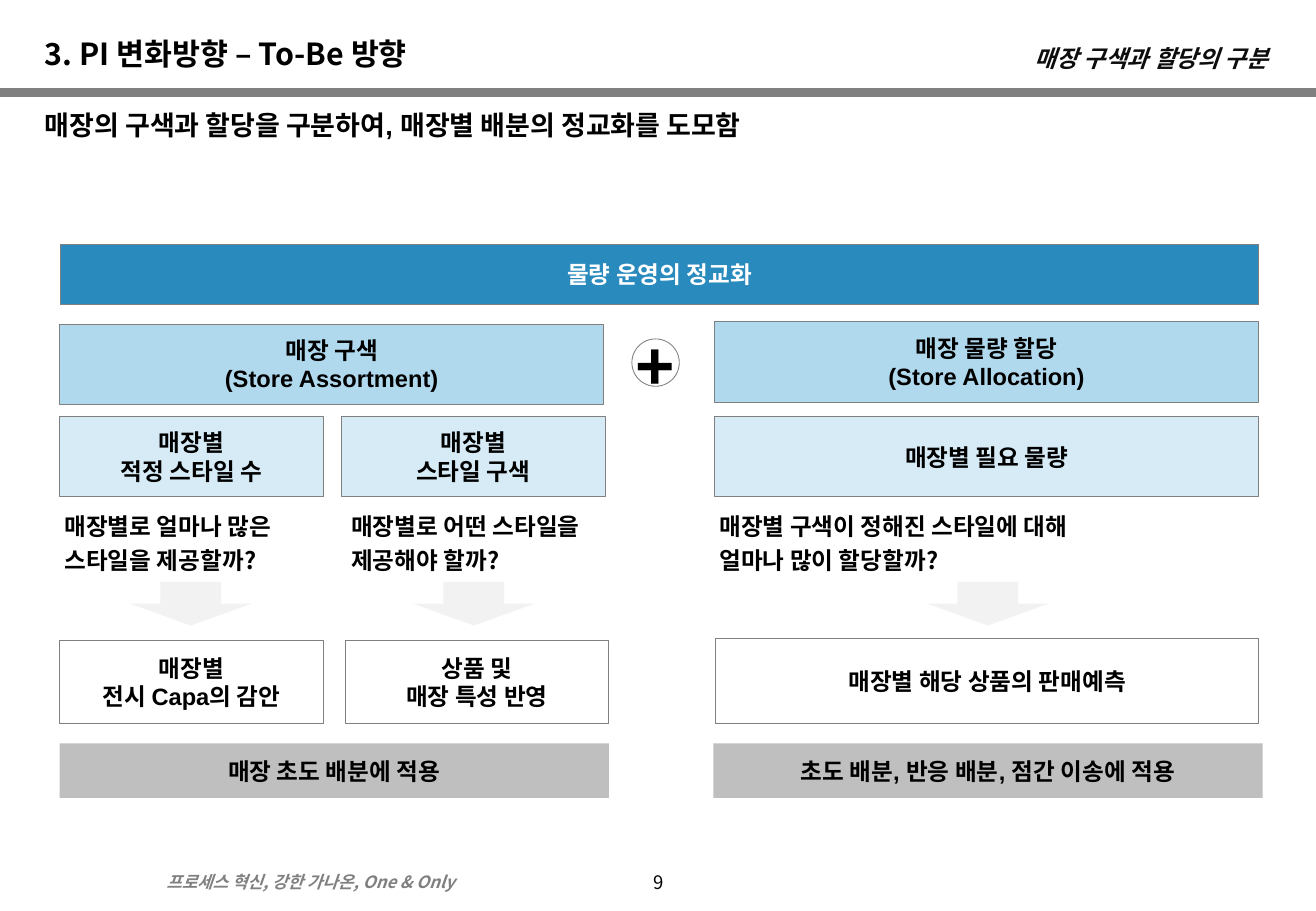
from copy import deepcopy
from dataclasses import dataclass, field
from typing import Any

from lxml import etree
from pptx import Presentation
from pptx.dml.color import RGBColor
from pptx.enum.shapes import MSO_CONNECTOR, MSO_SHAPE
from pptx.enum.text import MSO_ANCHOR, MSO_AUTO_SIZE, PP_ALIGN
from pptx.oxml.ns import qn
from pptx.util import Inches, Pt

RECT, OVAL, DOWN_ARROW = MSO_SHAPE.RECTANGLE, MSO_SHAPE.OVAL, MSO_SHAPE.DOWN_ARROW
LEFT, CENTER, RIGHT = PP_ALIGN.LEFT, PP_ALIGN.CENTER, PP_ALIGN.RIGHT
TOP, MIDDLE = MSO_ANCHOR.TOP, MSO_ANCHOR.MIDDLE
STRAIGHT = MSO_CONNECTOR.STRAIGHT
KOREAN, LATIN = "Noto Sans CJK KR", "Arial"
COLORS = {
    "black": "000000", "near_black": "0D0D0D", "white": "FFFFFF", "gray": "808080",
    "theme": "298ABD", "pillar": "B0D9EE", "topic": "D6EBF6",
    "result": "BFBFBF", "arrow": "F2F2F2",
}


@dataclass(frozen=True)
class Style:
    size: float = 14
    font: str = LATIN
    color: str = "black"
    bold: bool = True
    italic: bool = False
    align: Any = CENTER
    anchor: Any = MIDDLE
    inset: tuple[float, float] = (0.1, 0)
    wrap: bool = True
    line_spacing: float | None = None
    space_before: float = 0


@dataclass(frozen=True)
class Block:
    """Text with its place; "\\n" starts a paragraph and "\\v" a line."""
    text: str
    at: tuple[float, float, float, float]
    fill: str | None = None
    outline: bool = True
    shape: Any = RECT
    style: Style = field(default_factory=Style)


QUESTION = Style(font=KOREAN, align=LEFT, anchor=TOP, inset=(0.04, 0), wrap=False,
                 line_spacing=1.2, space_before=2.8)
HEADING = Style(18, KOREAN, align=LEFT, anchor=TOP, inset=(0.1, 0.05))
MESSAGE = Style(16, align=LEFT, anchor=TOP, inset=(0.1, 0.05), space_before=3.2)
SECTION = Style(font=KOREAN, color="near_black", italic=True, align=RIGHT,
                inset=(0.06, 0), wrap=False)
SLOGAN = Style(10, KOREAN, "gray", italic=True, align=LEFT, anchor=TOP, inset=(0.1, 0.05))
PAGE = Style(11, KOREAN, bold=False, inset=(0.1, 0.05), line_spacing=0.8)

ASSORT_X, STYLE_X, ALLOC_X = 0.49, 2.81, 5.88
PILLAR_W, TOPIC_W, BOX_H = 4.48, 2.17, 0.66
TOPIC_Y, QUESTION_Y, ARROW_Y, BASIS_Y, RESULT_Y = 3.43, 4.17, 4.79, 5.27, 6.12

TITLE = Block("3. PI 변화방향 – To-Be 방향", (0.27, 0.24, 10.24, 0.46), style=HEADING)
BODY = Block("매장의 구색과 할당을 구분하여, 매장별 배분의 정교화를 도모함",
             (0.27, 0.84, 10.26, 0.83), style=MESSAGE)
LABELS = [
    Block("9", (4.92, 7.13, 1, 0.3), style=PAGE),
    Block("프로세스 혁신, 강한 가나온, One & Only", (1.27, 7.13, 3.32, 0.27), style=SLOGAN),
    Block("매장 구색과 할당의 구분", (8.55, 0.32, 1.95, 0.31), style=SECTION),
    Block("매장별로 얼마나 많은\v스타일을 제공할까?", (ASSORT_X, QUESTION_Y, 2.07, 0.41),
          style=QUESTION),
    Block("매장별로 어떤 스타일을\v제공해야 할까?", (2.85, QUESTION_Y, 2.09, 0.41),
          style=QUESTION),
    Block("매장별 구색이 정해진 스타일에 대해\v얼마나 많이 할당할까?",
          (ALLOC_X, QUESTION_Y, PILLAR_W, 0.41), style=QUESTION),
]
BOXES = [
    Block("물량 운영의 정교화", (0.5, 2.01, 9.86, 0.5), "theme", style=Style(color="white")),
    Block("매장 구색\n(Store Assortment)", (ASSORT_X, 2.67, PILLAR_W, BOX_H), "pillar"),
    Block("매장 물량 할당\n(Store Allocation)", (ALLOC_X, 2.65, PILLAR_W, BOX_H), "pillar"),
    Block("+", (5.2, 2.79, 0.39, 0.39), shape=OVAL,
          style=Style(40, inset=(0, 0), wrap=False)),
    Block("매장별\v적정 스타일 수", (ASSORT_X, TOPIC_Y, TOPIC_W, BOX_H), "topic"),
    Block("매장별\v스타일 구색", (STYLE_X, TOPIC_Y, TOPIC_W, BOX_H), "topic"),
    Block("매장별 필요 물량", (ALLOC_X, TOPIC_Y, PILLAR_W, BOX_H), "topic"),
    Block("매장별\n전시 Capa의 감안", (ASSORT_X, BASIS_Y, TOPIC_W, 0.69)),
    Block("상품 및\v매장 특성 반영", (2.84, BASIS_Y, TOPIC_W, 0.69)),
    Block("매장별 해당 상품의 판매예측", (5.89, 5.26, 4.47, 0.7)),
    Block("매장 초도 배분에 적용", (ASSORT_X, RESULT_Y, 4.52, 0.45), "result", False),
    Block("초도 배분, 반응 배분, 점간 이송에 적용", (5.87, RESULT_Y, 4.52, 0.45),
          "result", False),
    *(Block("", (x, ARROW_Y, 1, 0.36), "arrow", False, DOWN_ARROW)
      for x in (1.07, 3.4, 7.63)),
]


def rgb(name: str) -> RGBColor:
    return RGBColor.from_string(COLORS[name])


def set_all(target: Any, values: dict[str, Any]) -> None:
    for name, value in values.items():
        setattr(target, name, value)


def write_text(frame: Any, text: str, style: Style) -> None:
    frame.text = text
    side, edge = map(Inches, style.inset)
    set_all(frame, {
        "auto_size": MSO_AUTO_SIZE.NONE, "word_wrap": style.wrap,
        "vertical_anchor": style.anchor, "margin_left": side, "margin_right": side,
        "margin_top": edge, "margin_bottom": edge,
    })
    for paragraph in frame.paragraphs:
        set_all(paragraph, {
            "alignment": style.align, "line_spacing": style.line_spacing,
            "space_before": Pt(style.space_before),
        })
        for run in paragraph.runs:
            set_all(run.font, {"size": Pt(style.size), "name": style.font,
                               "bold": style.bold, "italic": style.italic})
            run.font.color.rgb = rgb(style.color)
            properties = run.font._element
            etree.SubElement(properties, qn("a:ea")).set("typeface", KOREAN)
            for line_break in paragraph._p.findall(qn("a:br")):
                if len(line_break) == 0:
                    line_break.append(deepcopy(properties))


def fill_placeholder(placeholder: Any, block: Block) -> None:
    set_all(placeholder, dict(zip(("left", "top", "width", "height"),
                                  map(Inches, block.at))))
    write_text(placeholder.text_frame, block.text, block.style)


def remove_bullets(frame: Any) -> None:
    for paragraph in frame.paragraphs:
        properties = paragraph._p.get_or_add_pPr()
        properties.set("marL", "0")
        properties.set("indent", "0")
        etree.SubElement(properties, qn("a:buNone"))


def add_label(slide: Any, block: Block) -> None:
    label = slide.shapes.add_textbox(*map(Inches, block.at))
    write_text(label.text_frame, block.text, block.style)


def add_box(slide: Any, block: Block) -> None:
    box = slide.shapes.add_shape(block.shape, *map(Inches, block.at))
    box.shadow.inherit = False
    if block.fill:
        box.fill.solid()
        box.fill.fore_color.rgb = rgb(block.fill)
    else:
        box.fill.background()
    if block.outline:
        box.line.color.rgb = rgb("gray")
        box.line.width = Pt(0.5)
    else:
        box.line.fill.background()
    if block.text:
        write_text(box.text_frame, block.text, block.style)


def add_header_rule(slide: Any) -> None:
    rule = slide.shapes.add_connector(
        STRAIGHT, *map(Inches, (0, 0.76, 10.83, 0.76)))
    rule.line.color.rgb = rgb("gray")
    rule.line.width = Pt(5)
    etree.SubElement(rule._element.spPr, qn("a:effectLst"))


def main() -> None:
    presentation = Presentation()
    presentation.slide_width, presentation.slide_height = Inches(10.83), Inches(7.5)
    slide = presentation.slides.add_slide(presentation.slide_layouts[1])
    add_header_rule(slide)
    title, body = slide.placeholders
    fill_placeholder(title, TITLE)
    fill_placeholder(body, BODY)
    remove_bullets(body.text_frame)
    for label in LABELS:
        add_label(slide, label)
    for box in BOXES:
        add_box(slide, box)
    presentation.save("out.pptx")


if __name__ == "__main__":
    main()
